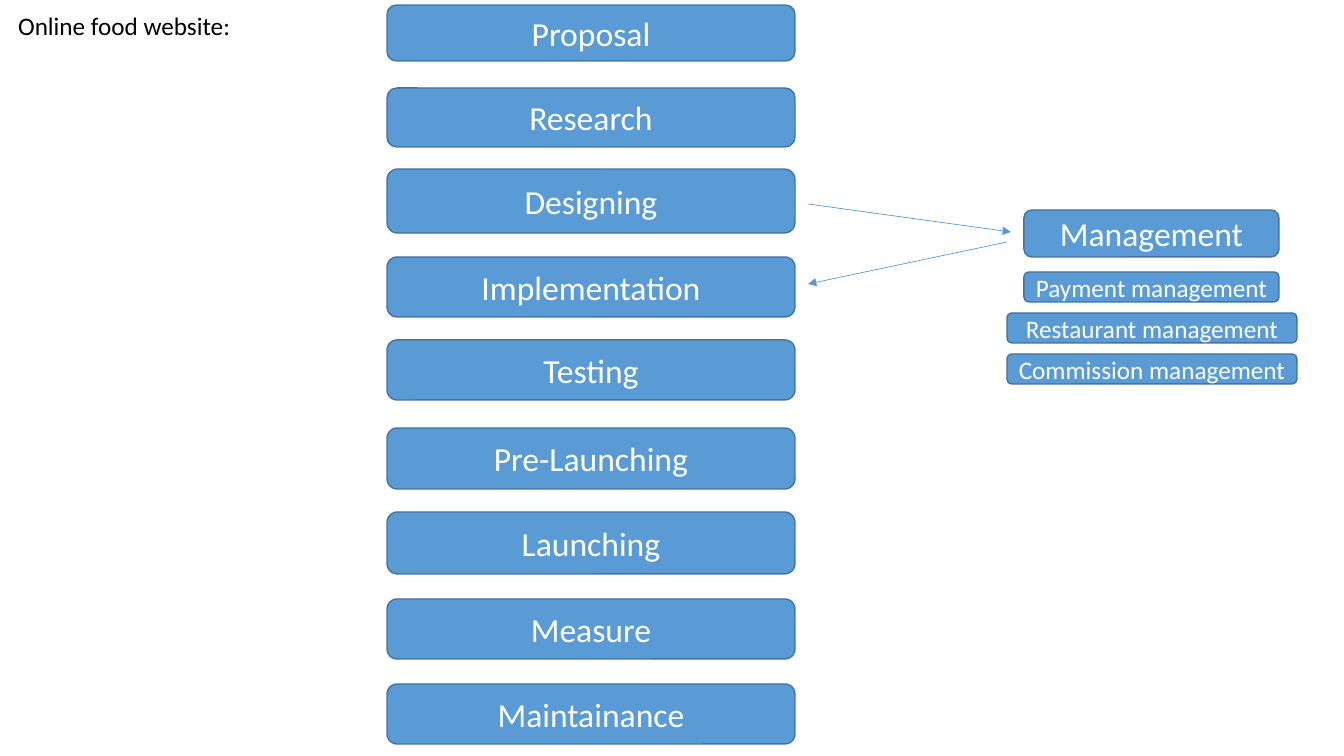
import dataclasses

import lxml.etree
import pptx
import pptx.dml.color
import pptx.enum.shapes
import pptx.enum.text
import pptx.oxml.ns
import pptx.util

PIXEL = 914400 / 100.8


@dataclasses.dataclass(frozen=True)
class Theme:
    font: str = "Calibri"
    fill: str = "5B9BD5"
    outline: str = "43739E"
    label: str = "FFFFFF"
    heading: str = "000000"
    large: int = 24
    small: int = 18


theme = Theme()
rgb = pptx.dml.color.RGBColor.from_string


def emu(*pixels):
    return [pptx.util.Emu(round(value * PIXEL)) for value in pixels]


def write(shape, text, size, color, alignment):
    shape.text_frame.text = text
    para = shape.text_frame.paragraphs[0]
    para.alignment = alignment
    para.font.name = theme.font
    para.font.size = pptx.util.Pt(size)
    para.font.color.rgb = rgb(color)


# Deck and page
deck = pptx.Presentation()
deck.slide_width, deck.slide_height = emu(1344, 756)
page = deck.slides.add_slide(deck.slide_layouts.get_by_name("Title Only"))

# Title
title = page.shapes.title
title.left, title.top, title.width, title.height = emu(8, 5, 778, 40)
write(title, "Online food website:", theme.small, theme.heading,
      pptx.enum.text.PP_ALIGN.LEFT)
title.text_frame.word_wrap = True
title.text_frame.vertical_anchor = pptx.enum.text.MSO_ANCHOR.TOP
title.text_frame.auto_size = pptx.enum.text.MSO_AUTO_SIZE.SHAPE_TO_FIT_TEXT

# Project stages: name, top, height
stages = [
    ("Proposal", 5, 56),
    ("Research", 88, 59),
    ("Designing", 169, 64),
    ("Implementation", 257, 60),
    ("Testing", 340, 60),
    ("Pre-Launching", 428, 61),
    ("Launching", 512, 62),
    ("Measure", 599, 60),
    ("Maintainance", 684, 60),
]
boxes = [(name, 387, top, 408, height, theme.large)
         for name, top, height in stages]

# Management group: name, left, top, width, height, type size
boxes += [
    ("Management", 1024, 210, 255, 47, theme.large),
    ("Payment management", 1024, 272, 255, 30, theme.small),
    ("Restaurant management", 1007, 313, 290, 30, theme.small),
    ("Commission management", 1007, 354, 290, 30, theme.small),
]

# Boxes
for name, left, top, width, height, size in boxes:
    box = page.shapes.add_shape(
        pptx.enum.shapes.MSO_SHAPE.ROUNDED_RECTANGLE,
        *emu(left, top, width, height))
    box.shadow.inherit = False
    box.fill.solid()
    box.fill.fore_color.rgb = rgb(theme.fill)
    box.line.color.rgb = rgb(theme.outline)
    box.line.width = pptx.util.Pt(1)
    box.text_frame.vertical_anchor = pptx.enum.text.MSO_ANCHOR.MIDDLE
    write(box, name, size, theme.label, pptx.enum.text.PP_ALIGN.CENTER)

# Arrows from Designing to Management and back to Implementation
for ends in [(808, 204, 1011, 232), (1007, 242, 808, 284)]:
    arrow = page.shapes.add_connector(
        pptx.enum.shapes.MSO_CONNECTOR.STRAIGHT, *emu(*ends))
    arrow.line.color.rgb = rgb(theme.fill)
    arrow.line.width = pptx.util.Pt(0.5)
    properties = arrow.element.spPr
    line = properties.find(pptx.oxml.ns.qn("a:ln"))
    lxml.etree.SubElement(line, pptx.oxml.ns.qn("a:tailEnd"), type="triangle")
    lxml.etree.SubElement(properties, pptx.oxml.ns.qn("a:effectLst"))

deck.save("out.pptx")
